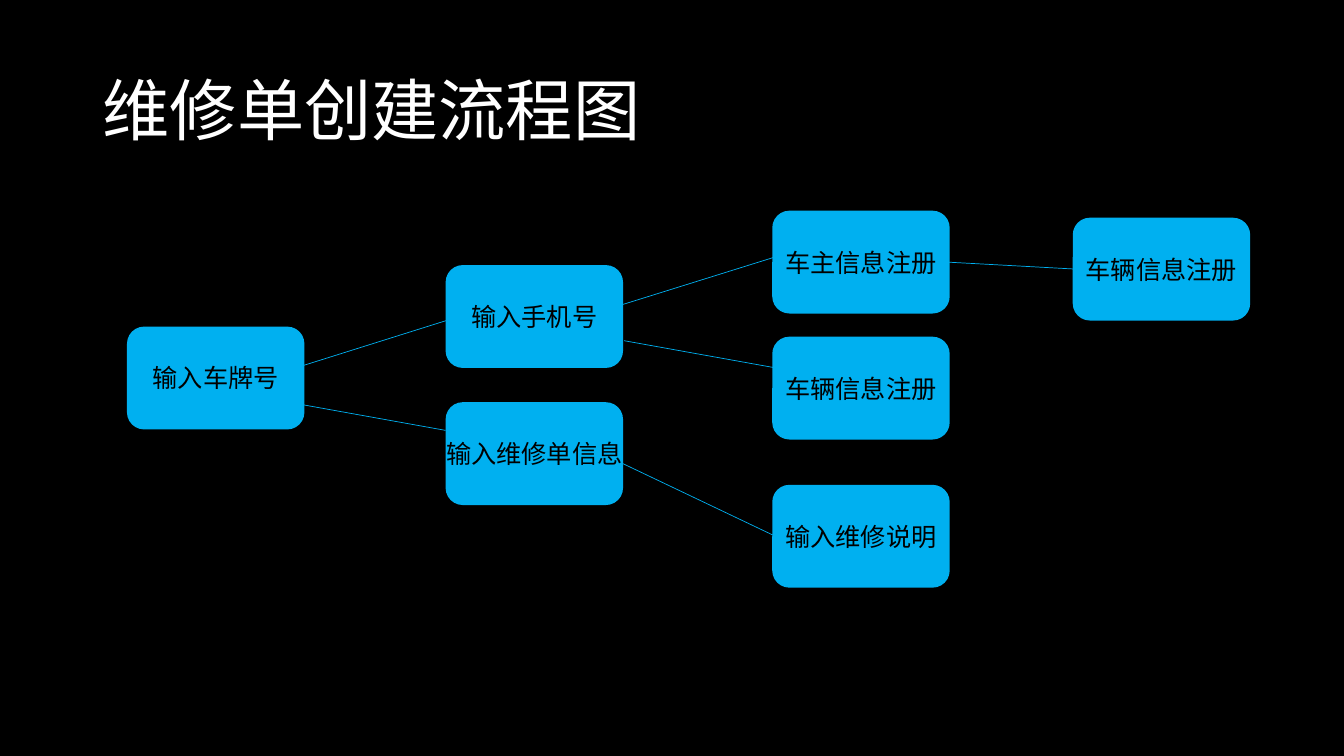
from dataclasses import dataclass

from lxml import etree
from pptx import Presentation
from pptx.dml.color import RGBColor
from pptx.enum.shapes import MSO_CONNECTOR as Link, MSO_SHAPE as Kind
from pptx.enum.text import MSO_ANCHOR as Anchor, MSO_AUTO_SIZE as Fit
from pptx.oxml.ns import qn
from pptx.slide import Slide
from pptx.util import Inches, Pt

BLUE, BLACK, WHITE = "00B0F0", "000000", "FFFFFF"
BOX_W, BOX_H = 1.76, 1.02
TEXT_H = 0.4


@dataclass
class Step:
    text: str
    left: float
    top: float


@dataclass
class Line:
    x1: float
    y1: float
    x2: float
    y2: float


STEPS = [
    Step("输入车牌号", 1.26, 3.24),
    Step("输入手机号", 4.42, 2.63),
    Step("输入维修单信息", 4.42, 3.99),
    Step("车主信息注册", 7.66, 2.09),
    Step("车辆信息注册", 7.66, 3.34),
    Step("输入维修说明", 7.66, 4.81),
    Step("车辆信息注册", 10.64, 2.16),
]

LINES = [
    Line(2.9, 3.66, 4.46, 3.17),
    Line(2.86, 3.99, 4.42, 4.27),
    Line(6.18, 3.02, 7.75, 2.53),
    Line(6.19, 3.38, 7.75, 3.66),
    Line(9.39, 2.6, 10.67, 2.67),
    Line(5.99, 4.51, 7.69, 5.32),
]


def paint(form, color: str) -> None:
    form.fill.solid()
    form.fill.fore_color.rgb = RGBColor.from_string(color)


def add_text(slide: Slide, text: str, left: float, top: float, width: float,
             height: float, *, size: int = 18, color: str = BLACK,
             wrap: bool = False, fit: Fit = Fit.SHAPE_TO_FIT_TEXT,
             anchor: Anchor = Anchor.TOP, space: float = 1.0) -> None:
    box = slide.shapes.add_textbox(
        Inches(left), Inches(top), Inches(width), Inches(height))
    frame = box.text_frame
    frame.word_wrap = wrap
    frame.auto_size = fit
    frame.vertical_anchor = anchor
    para = frame.paragraphs[0]
    para.line_spacing = space
    run = para.add_run()
    run.text = text
    run.font.name = "Arial"
    run.font.size = Pt(size)
    run.font.color.rgb = RGBColor.from_string(color)


def add_line(slide: Slide, line: Line) -> None:
    link = slide.shapes.add_connector(
        Link.STRAIGHT, Inches(line.x1), Inches(line.y1),
        Inches(line.x2), Inches(line.y2))
    paint(link.line, BLUE)
    link.line.width = Pt(0.5)
    etree.SubElement(link._element.spPr, qn("a:effectLst"))


def add_step(slide: Slide, step: Step) -> None:
    box = slide.shapes.add_shape(
        Kind.ROUNDED_RECTANGLE, Inches(step.left), Inches(step.top),
        Inches(BOX_W), Inches(BOX_H))
    box.shadow.inherit = False
    paint(box, BLUE)
    box.line.fill.background()
    width = 0.2 + 0.25 * len(step.text)
    add_text(slide, step.text, step.left + (BOX_W - width) / 2,
             step.top + (BOX_H - TEXT_H) / 2, width, TEXT_H)


def main() -> None:
    deck = Presentation()
    deck.slide_width, deck.slide_height = Inches(13.33), Inches(7.5)
    slide = deck.slides.add_slide(deck.slide_layouts[6])
    paint(slide.background, BLACK)
    for line in LINES:
        add_line(slide, line)
    for step in STEPS:
        add_step(slide, step)
    add_text(slide, "维修单创建流程图", 0.92, 0.4, 11.5, 1.45, size=48,
             color=WHITE, wrap=True, fit=Fit.NONE, anchor=Anchor.MIDDLE,
             space=0.9)
    deck.save("out.pptx")


if __name__ == "__main__":
    main()
